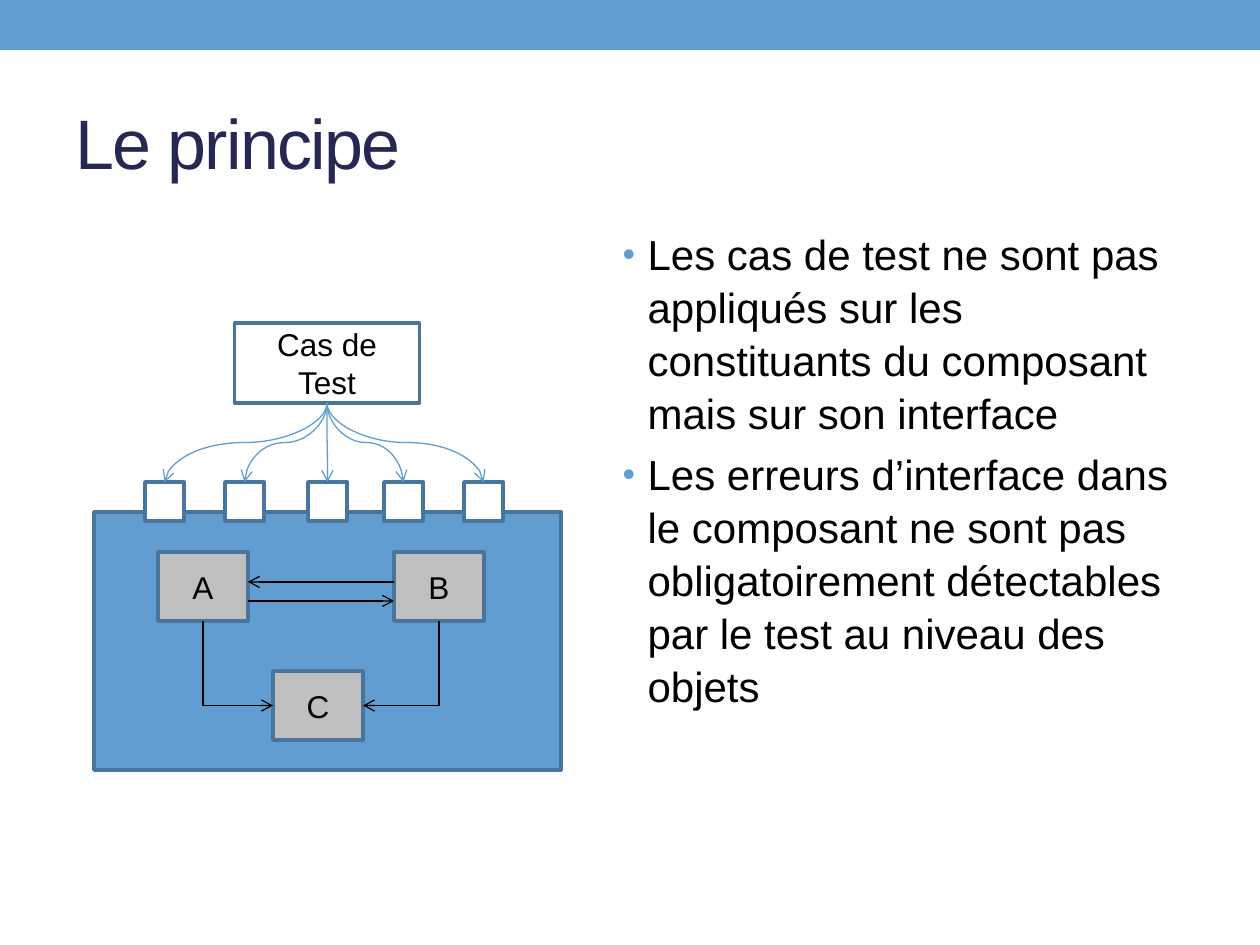
from lxml.etree import SubElement
from pptx import Presentation
from pptx.dml.color import RGBColor
from pptx.enum.shapes import MSO_CONNECTOR as Connector, MSO_SHAPE as Shape
from pptx.enum.text import MSO_ANCHOR as Anchor, MSO_AUTO_SIZE as AutoSize, PP_ALIGN as Align
from pptx.oxml.ns import qn
from pptx.util import Inches, Pt

PX_PER_INCH = 126
FONT = "Arial"
BLUE, EDGE, NAVY = "629DD1", "49749B", "242852"
WHITE, GREY, BLACK = "FFFFFF", "BFBFBF", "000000"
POINTS = [
    "Les cas de test ne sont pas appliqués sur les constituants du composant mais sur son interface",
    "Les erreurs d’interface dans le composant ne sont pas obligatoirement détectables "
    "par le test au niveau des objets",
]


def px(length):
    return Inches(length / PX_PER_INCH)


def color(value):
    return RGBColor.from_string(value)


def add_run(paragraph, text, size, tint):
    run = paragraph.add_run()
    run.text = text
    run.font.name, run.font.size = FONT, Pt(size)
    run.font.color.rgb = color(tint)
    return run


def place(holder, left, top, width, height):
    holder.left, holder.top = px(left), px(top)
    holder.width, holder.height = px(width), px(height)
    holder.text_frame.auto_size = AutoSize.NONE


def add_box(shapes, left, top, width, height, fill, edge=EDGE, label=None):
    box = shapes.add_shape(Shape.RECTANGLE, px(left), px(top), px(width), px(height))
    box.shadow.inherit = False
    box.fill.solid()
    box.fill.fore_color.rgb = color(fill)
    if edge:
        box.line.color.rgb = color(edge)
        box.line.width = Pt(2.08)
    else:
        box.line.fill.background()
    if label:
        frame = box.text_frame
        frame.word_wrap = True
        frame.vertical_anchor = Anchor.MIDDLE
        frame.paragraphs[0].alignment = Align.CENTER
        add_run(frame.paragraphs[0], label, 18, BLACK)
    return box


def add_arrow(shapes, kind, x1, y1, x2, y2, tint):
    arrow = shapes.add_connector(kind, px(x1), px(y1), px(x2), px(y2))
    arrow.line.color.rgb = color(tint)
    arrow.line.width = Pt(0.75)
    properties = arrow._element.spPr
    SubElement(properties.find(qn("a:ln")), qn("a:tailEnd"), type="arrow")
    SubElement(properties, qn("a:effectLst"))
    return arrow


def add_descending_arrow(shapes, kind, x1, y1, x2, y2, tint):
    run, drop = abs(x2 - x1), y2 - y1
    left, top = (x1 + x2 - drop) / 2, (y1 + y2 - run) / 2
    arrow = add_arrow(shapes, kind, left, top, left + drop, top + run, tint)
    frame = arrow._element.spPr.find(qn("a:xfrm"))
    if x2 > x1:
        frame.set("rot", str(270 * 60000))
        frame.set("flipH", "1")
    else:
        frame.set("rot", str(90 * 60000))
    if kind == Connector.ELBOW:
        arrow._element.spPr.find(qn("a:prstGeom")).set("prst", "bentConnector2")


def add_title(slide, left, top, width, height):
    title = slide.shapes.title
    place(title, left, top, width, height)
    title.text_frame.vertical_anchor = Anchor.MIDDLE
    paragraph = title.text_frame.paragraphs[0]
    paragraph.alignment = Align.LEFT
    run = add_run(paragraph, "Le principe", 40, NAVY)
    run.font._element.set("spc", "-100")


def add_points(slide, left, top, width, height):
    body = slide.placeholders[1]
    place(body, left, top, width, height)
    frame = body.text_frame
    for index, point in enumerate(POINTS):
        paragraph = frame.add_paragraph() if index else frame.paragraphs[0]
        paragraph.line_spacing = 1.05
        paragraph.space_before = Pt(4.8 if index else 0)
        properties = paragraph._p.get_or_add_pPr()
        properties.set("marL", str(px(25)))
        properties.set("indent", str(px(-25)))
        bullet_color = SubElement(properties, qn("a:buClr"))
        SubElement(bullet_color, qn("a:srgbClr"), val=BLUE)
        SubElement(properties, qn("a:buSzPct"), val="85000")
        SubElement(properties, qn("a:buFont"), typeface=FONT)
        SubElement(properties, qn("a:buChar"), char="•")
        add_run(paragraph, point, 24, BLACK)


def add_component(slide, left, top, width, height):
    shapes = slide.shapes.add_group_shape().shapes
    add_box(shapes, left, top, width, height, BLUE)
    part_width, part_height = 90, 69
    a_left, b_left, c_left = left + 64, left + 300, left + 179
    upper, lower = top + 40, top + 159
    for label, x, y in (("A", a_left, upper), ("B", b_left, upper), ("C", c_left, lower)):
        add_box(shapes, x, y, part_width, part_height, GREY, label=label)
    a_right, c_right = a_left + part_width, c_left + part_width
    c_middle = lower + part_height / 2
    for source, target in ((a_left, c_left), (b_left, c_right)):
        add_descending_arrow(shapes, Connector.ELBOW, source + part_width / 2,
                             upper + part_height, target, c_middle, BLACK)
    for start, end, y in ((b_left, a_right, upper + 30), (a_right, b_left, upper + 49)):
        add_arrow(shapes, Connector.CURVE, start, y, end, y, BLACK)


def add_test_interface(slide, left, top, width, height):
    shapes = slide.shapes
    port = 39
    port_top = top + height - port
    port_lefts = [left + offset for offset in (0, 80, 163, 239, 319)]
    for port_left in port_lefts:
        add_box(shapes, port_left, port_top, port, port, WHITE)
    case_width, case_height = 185, 80
    case_left = left + (width - case_width) / 2 + 3
    add_box(shapes, case_left, top, case_width, case_height, WHITE, label="Cas de Test")
    for port_left in port_lefts:
        add_descending_arrow(shapes, Connector.CURVE, case_left + case_width / 2,
                             top + case_height, port_left + port / 2, port_top, BLUE)


def main():
    deck = Presentation()
    deck.slide_width, deck.slide_height = Inches(10), Inches(7.5)
    slide = deck.slides.add_slide(deck.slide_layouts[1])
    add_box(slide.shapes, 0, 0, 1260, 50, BLUE, edge=None)
    add_title(slide, 63, 73, 1134, 136)
    add_points(slide, 610, 220, 587, 672)
    add_component(slide, 94, 512, 467, 258)
    add_test_interface(slide, 145, 323, 358, 198)
    deck.save("out.pptx")


if __name__ == "__main__":
    main()
